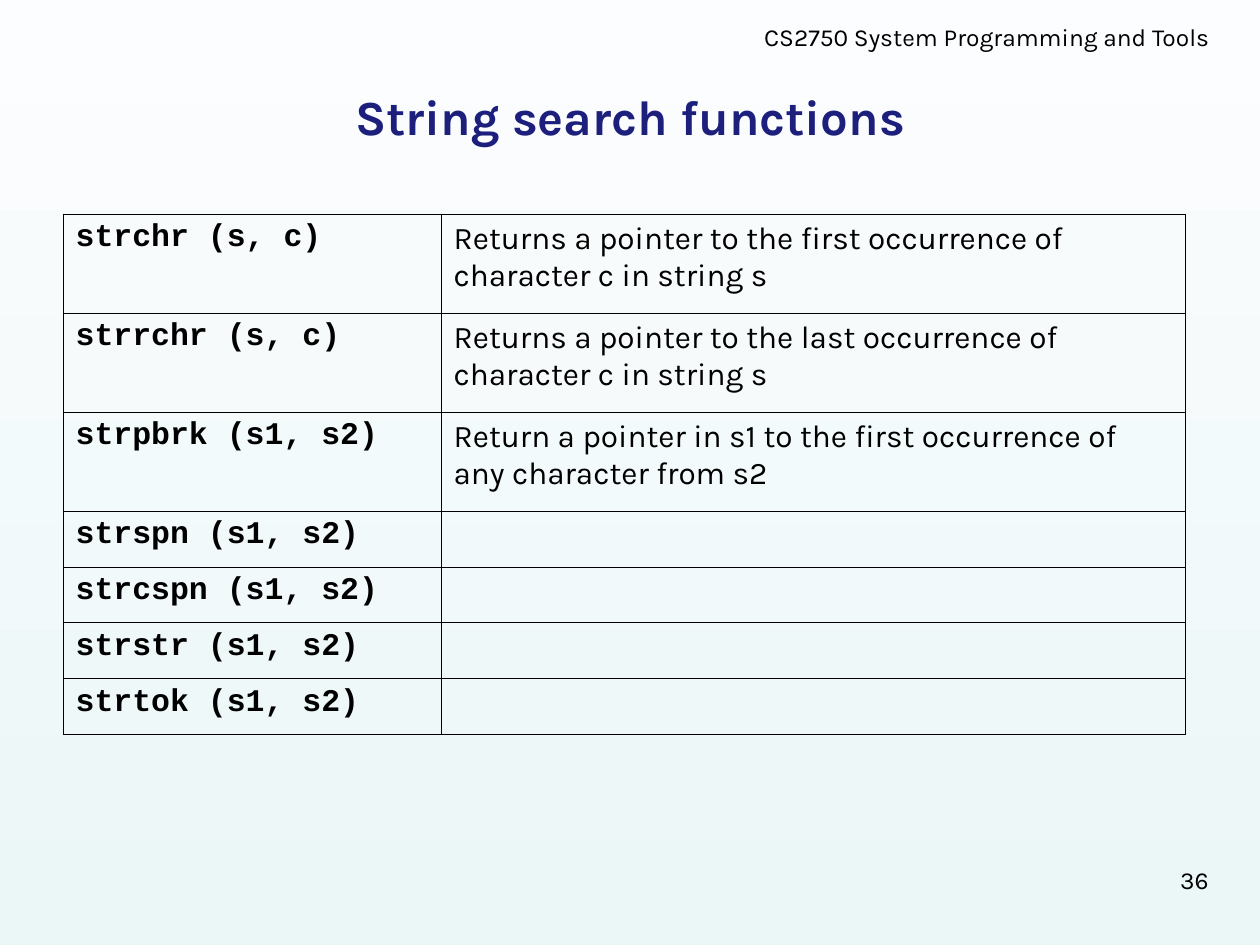
from dataclasses import dataclass

from lxml import etree
from pptx import Presentation
from pptx import util as u
from pptx.dml.color import RGBColor
from pptx.enum import text
from pptx.oxml.ns import qn

PX_PER_INCH = 126
BODY, CODE = "Karla", "Courier New"
BLACK, NAVY = "000000", "1D1F7D"


@dataclass
class Row:
    call: str
    description: str = ""

    @property
    def height(self) -> int:
        return 99 if self.description else 56


ROWS = [
    Row("strchr (s, c)",
        "Returns a pointer to the first occurrence of character c in string s"),
    Row("strrchr (s, c)",
        "Returns a pointer to the last occurrence of character c in string s"),
    Row("strpbrk (s1, s2)",
        "Return a pointer in s1 to the first occurrence of any character from s2"),
    Row("strspn (s1, s2)"),
    Row("strcspn (s1, s2)"),
    Row("strstr (s1, s2)"),
    Row("strtok (s1, s2)"),
]
COLUMN_WIDTHS = (378, 744)


def px(n: int) -> int:
    return round(n * u.Inches(1) / PX_PER_INCH)


def rgb(color: str) -> RGBColor:
    return RGBColor.from_string(color)


def write(tf, content: str, size: int, align=text.PP_ALIGN.LEFT,
          name: str = BODY, bold: bool = False, color: str = BLACK) -> None:
    tf.word_wrap = True
    p = tf.paragraphs[0]
    p.alignment = align
    r = p.add_run()
    r.text = content
    for key, value in dict(size=u.Pt(size), name=name, bold=bold).items():
        setattr(r.font, key, value)
    r.font.color.rgb = rgb(color)


def add_label(s, content: str, box: tuple, align) -> None:
    sp = s.shapes.add_textbox(*map(px, box))
    write(sp.text_frame, content, 14, align)


def add_borders(cell, color: str = BLACK, width: float = 0.45) -> None:
    tc_pr = cell._tc.get_or_add_tcPr()
    for side in ("lnL", "lnR", "lnT", "lnB"):
        ln = etree.SubElement(tc_pr, qn(f"a:{side}"), w=str(u.Pt(width)))
        fill = etree.SubElement(ln, qn("a:solidFill"))
        etree.SubElement(fill, qn("a:srgbClr"), val=color)


def add_function_table(s, left: int, top: int) -> None:
    height = sum(row.height for row in ROWS)
    table = s.shapes.add_table(len(ROWS), len(COLUMN_WIDTHS), px(left), px(top),
                               px(sum(COLUMN_WIDTHS)), px(height)).table
    table.first_row = table.horz_banding = False
    for column, width in zip(table.columns, COLUMN_WIDTHS):
        column.width = px(width)
    for tr, row in zip(table.rows, ROWS):
        tr.height = px(row.height)
        call, description = tr.cells
        for cell in (call, description):
            add_borders(cell)
            cell.fill.background()
        write(call.text_frame, row.call, 18, name=CODE, bold=True)
        if row.description:
            write(description.text_frame, row.description, 18)


def set_background(s, top: str, bottom: str) -> None:
    fill = s.background.fill
    fill.gradient()
    fill.gradient_angle = 270
    for stop, color in zip(fill.gradient_stops, (top, bottom)):
        stop.color.rgb = rgb(color)


def set_title(s, content: str) -> None:
    sp = s.shapes.title
    sp.left, sp.top, sp.width, sp.height = map(px, (63, 76, 1134, 79))
    tf = sp.text_frame
    tf.auto_size = text.MSO_AUTO_SIZE.NONE
    tf.vertical_anchor = text.MSO_ANCHOR.MIDDLE
    write(tf, content, 28, text.PP_ALIGN.CENTER, bold=True, color=NAVY)


def main() -> None:
    prs = Presentation()
    prs.slide_width, prs.slide_height = px(1260), px(945)
    s = prs.slides.add_slide(prs.slide_layouts[5])
    set_background(s, "FCFDFE", "EBF6F7")
    add_label(s, "CS2750 System Programming and Tools", (729, 16, 516, 38),
              text.PP_ALIGN.CENTER)
    set_title(s, "String search functions")
    add_label(s, "36", (927, 859, 294, 66), text.PP_ALIGN.RIGHT)
    add_function_table(s, 63, 214)
    prs.save("out.pptx")


if __name__ == "__main__":
    main()
